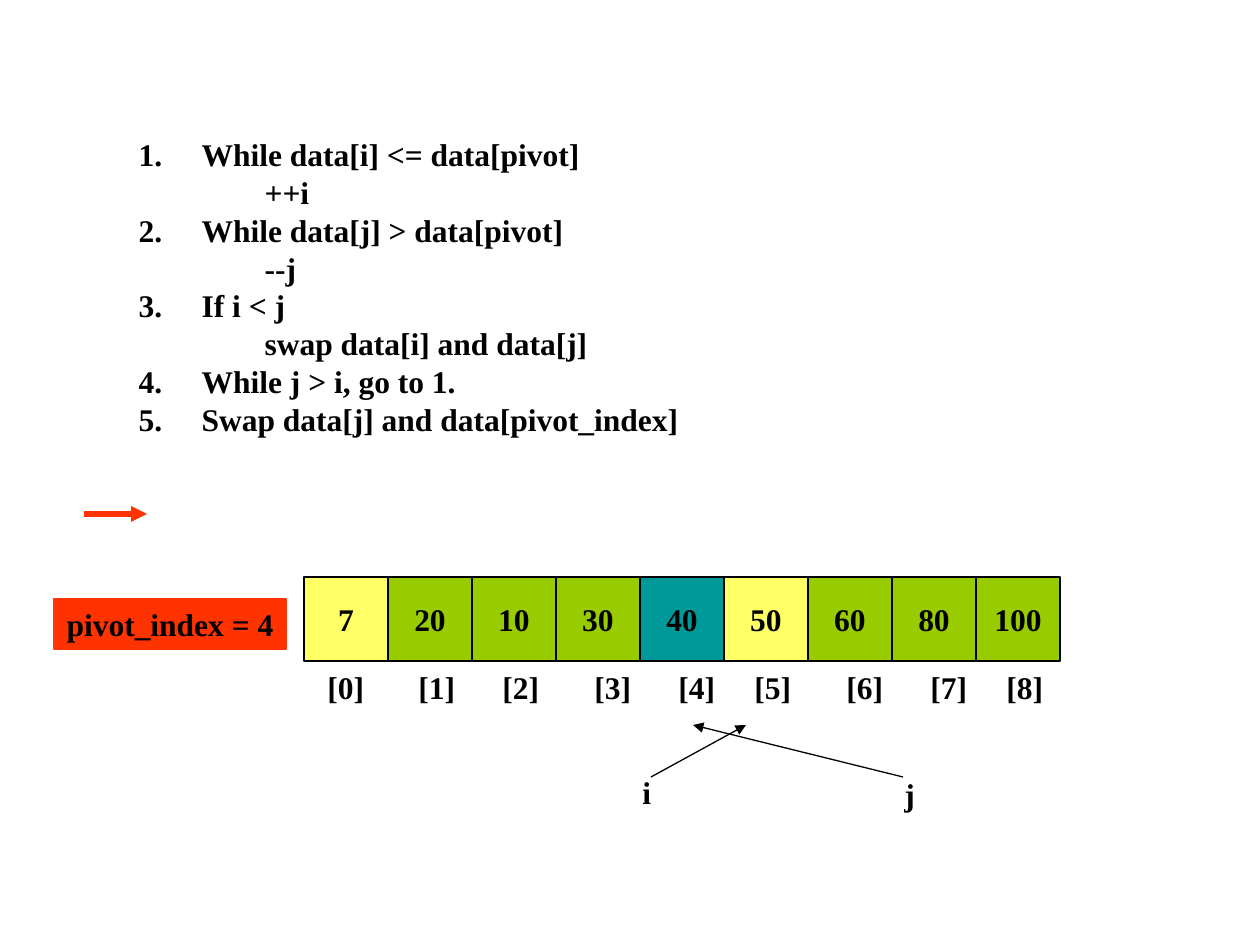
from lxml.etree import SubElement
from pptx import Presentation
from pptx.dml.color import RGBColor
from pptx.enum.shapes import MSO_CONNECTOR, MSO_SHAPE
from pptx.enum.text import MSO_ANCHOR, MSO_AUTO_SIZE, PP_ALIGN
from pptx.oxml.ns import qn
from pptx.util import Pt

EMU_PER_PX = 914400 / 126

BLACK, RED = "000000", "FF3300"
YELLOW, GREEN, TEAL = "FFFF66", "99CC00", "009999"


def px(length):
    return round(length * EMU_PER_PX)


def color(hex_string):
    return RGBColor.from_string(hex_string)


class SlideBuilder:
    font_name = "Times New Roman"
    font_size = Pt(18)
    line_height = Pt(21.6)
    thin = 0.75

    def __init__(self, slide):
        self.slide = slide

    def add_text(self, paragraph, text, align=PP_ALIGN.LEFT):
        paragraph.alignment = align
        paragraph.line_spacing = self.line_height
        paragraph.space_before = Pt(0)
        run = paragraph.add_run()
        run.text = text
        run.font.name = self.font_name
        run.font.size = self.font_size
        run.font.bold = True
        run.font.color.rgb = color(BLACK)

    def numbered_list(self, left, top, width, height, lines):
        """Fill the body placeholder; lines are (level, text), level 0 numbered."""
        body = self.slide.placeholders[1]
        body.left, body.top = px(left), px(top)
        body.width, body.height = px(width), px(height)
        frame = body.text_frame
        frame.auto_size = MSO_AUTO_SIZE.NONE
        frame.vertical_anchor = MSO_ANCHOR.TOP
        for index, (level, text) in enumerate(lines):
            paragraph = frame.add_paragraph() if index else frame.paragraphs[0]
            paragraph.level = level
            properties = paragraph._p.get_or_add_pPr()
            properties.set("marL", str(px(126 if level else 63)))
            properties.set("indent", str(0 if level else px(-63)))
            if level:
                SubElement(properties, qn("a:buNone"))
            else:
                bullet_color = SubElement(properties, qn("a:buClr"))
                SubElement(bullet_color, qn("a:srgbClr"), val=BLACK)
                SubElement(properties, qn("a:buFont"), typeface=self.font_name)
                SubElement(properties, qn("a:buAutoNum"), type="arabicPeriod")
            self.add_text(paragraph, text)

    def box(self, left, top, width, height, text, fill, line=BLACK):
        rectangle = self.slide.shapes.add_shape(
            MSO_SHAPE.RECTANGLE, px(left), px(top), px(width), px(height))
        rectangle.shadow.inherit = False
        rectangle.fill.solid()
        rectangle.fill.fore_color.rgb = color(fill)
        rectangle.line.color.rgb = color(line)
        rectangle.line.width = Pt(self.thin)
        frame = rectangle.text_frame
        frame.word_wrap = False
        frame.vertical_anchor = MSO_ANCHOR.MIDDLE
        self.add_text(frame.paragraphs[0], text, PP_ALIGN.CENTER)

    def label(self, left, top, width, height, text, tab_stops=()):
        frame = self.slide.shapes.add_textbox(
            px(left), px(top), px(width), px(height)).text_frame
        frame.word_wrap = True
        paragraph = frame.paragraphs[0]
        if tab_stops:
            tabs = SubElement(paragraph._p.get_or_add_pPr(), qn("a:tabLst"))
            for stop in tab_stops:
                SubElement(tabs, qn("a:tab"), pos=str(px(stop)), algn="l")
        self.add_text(paragraph, text)

    def arrow(self, start, end, line=BLACK, weight=thin):
        connector = self.slide.shapes.add_connector(
            MSO_CONNECTOR.STRAIGHT, *map(px, start + end))
        connector.line.color.rgb = color(line)
        connector.line.width = Pt(weight)
        properties = connector._element.spPr
        SubElement(properties.get_or_add_ln(), qn("a:tailEnd"), type="triangle")
        SubElement(properties, qn("a:effectLst"))


def main():
    deck = Presentation()
    deck.slide_width, deck.slide_height = px(1260), px(945)
    slide = deck.slides.add_slide(deck.slide_layouts[1])
    title = slide.shapes.title._element
    title.getparent().remove(title)
    builder = SlideBuilder(slide)

    builder.numbered_list(126, 129, 600, 428, [
        (0, "While data[i] <= data[pivot]"),
        (1, "++i"),
        (0, "While data[j] > data[pivot]"),
        (1, "--j"),
        (0, "If i < j"),
        (1, "swap data[i] and data[j]"),
        (0, "While j > i, go to 1."),
        (0, "Swap data[j] and data[pivot_index]"),
    ])

    data = [7, 20, 10, 30, 40, 50, 60, 80, 100]
    highlights = {0: YELLOW, 4: TEAL, 5: YELLOW}
    cell = 84
    for index, value in enumerate(data):
        builder.box(304 + index * cell, 577, cell, cell, str(value),
                    highlights.get(index, GREEN))
    builder.box(54, 599, 232, 50, "pivot_index = 4", RED, RED)

    indices = "\t".join(f"[{index}]" for index in range(len(data)))
    builder.label(315, 662, 741, 50, indices,
                  tab_stops=(91, 175, 267, 351, 427, 519, 603, 679))
    builder.label(630, 767, 42, 50, "i")
    builder.label(892, 769, 42, 50, "j")

    builder.arrow((903, 777), (693, 725))
    builder.arrow((651, 777), (746, 725))
    builder.arrow((84, 514), (147, 514), RED, 3)

    deck.save("out.pptx")


if __name__ == "__main__":
    main()
